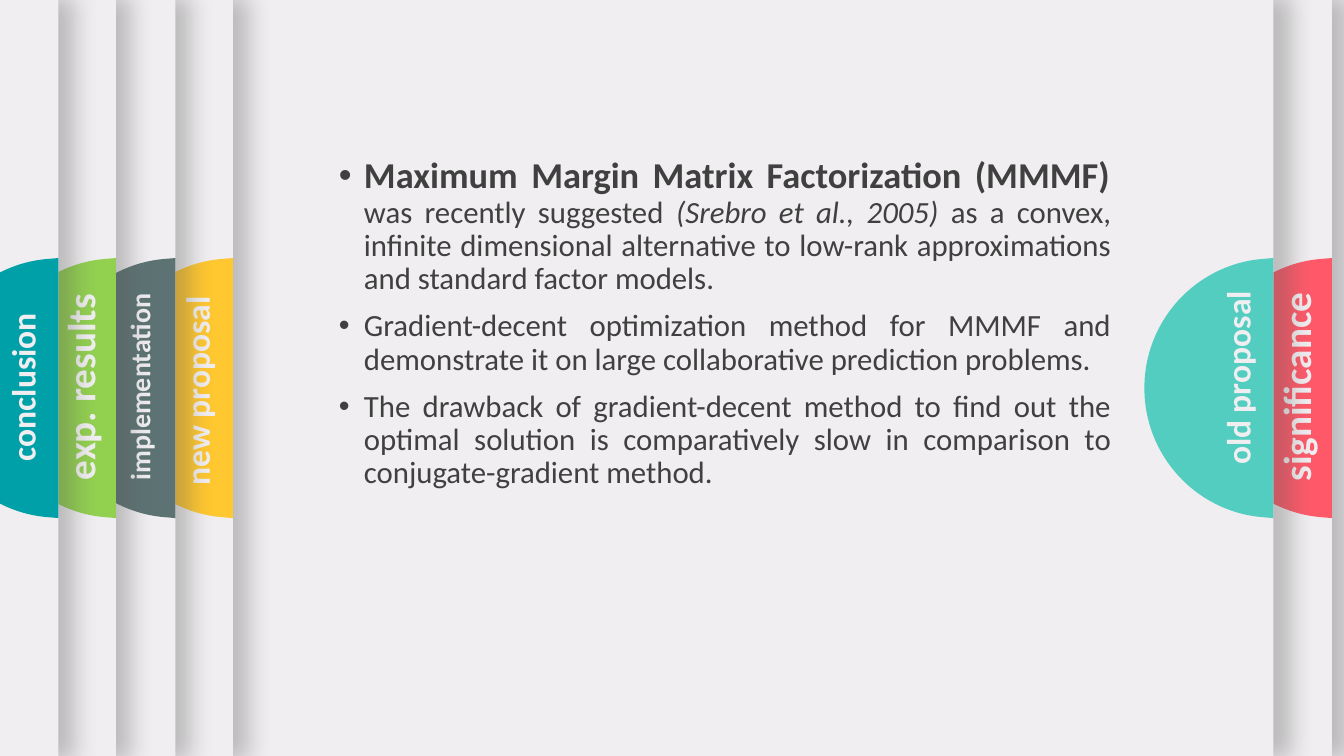
from lxml import etree
from pptx import Presentation
from pptx.dml.color import RGBColor
from pptx.enum.shapes import MSO_SHAPE as SHAPE
from pptx.enum.text import MSO_ANCHOR as ANCHOR, MSO_AUTO_SIZE as AUTO, PP_ALIGN as ALIGN
from pptx.oxml import parse_xml
from pptx.oxml.ns import nsdecls, qn
from pptx.util import Inches, Pt

PALE = "F0EEF0"
DARK = "404040"
DISC_TOP, DISC_WIDTH, DISC_HEIGHT = 2.56, 1.28, 2.58
LABEL_MIDDLE = 3.84

# label, colour, panel left, panel right, text size, label centre height
TABS = [
    ("significance", "FF5969", -0.44, 13.21, 28, LABEL_MIDDLE),
    ("old proposal", "52CDC0", 0.11, 12.63, 24, 3.75),
    ("new proposal ", "FFC730", -8.58, 2.31, 24, LABEL_MIDDLE),
    ("implementation", "5D7373", -8.73, 1.74, 20, LABEL_MIDDLE),
    ("exp. results", "92D050", -8.35, 1.15, 28, LABEL_MIDDLE),
    ("conclusion", "00A0A8", -10.27, 0.58, 24, LABEL_MIDDLE),
]

POINTS = [
    [
        ("Maximum Margin Matrix Factorization (MMMF) ", {"size": 26, "bold": True}),
        ("was recently suggested ", {}),
        ("(Srebro et al., 2005) ", {"italic": True}),
        ("as a convex, infinite dimensional alternative to low-rank "
         "approximations and standard factor models.", {}),
    ],
    [("Gradient-decent optimization method for MMMF and demonstrate it on "
      "large collaborative prediction problems.", {})],
    [("The drawback of gradient-decent method to find out the optimal solution "
      "is comparatively slow in comparison to conjugate-gradient method.", {})],
]


def rgb(value):
    return RGBColor.from_string(value)


def add_run(p, text, size=22, color=DARK, bold=False, italic=False):
    r = p.add_run()
    r.text = text
    font = r.font
    font.name = "Calibri"
    font.size = Pt(size)
    font.bold = bold
    font.italic = italic
    font.color.rgb = rgb(color)


def paint(sp, color):
    sp.shadow.inherit = False
    sp.fill.solid()
    sp.fill.fore_color.rgb = rgb(color)
    sp.line.fill.background()


def add_panel(group, left, right):
    """Full-height sheet that casts a soft shadow to its right."""
    sp = group.shapes.add_shape(SHAPE.RECTANGLE, Inches(left), 0,
                                Inches(right - left), Inches(7.5))
    paint(sp, PALE)
    effects = sp._element.spPr.find(qn("a:effectLst"))
    effects.append(parse_xml(
        f'<a:outerShdw {nsdecls("a")} blurRad="{Pt(17)}" dist="{Pt(3)}" dir="0" '
        'sx="101000" sy="101000" algn="l" rotWithShape="0"><a:srgbClr val="595959">'
        '<a:alpha val="35000"/></a:srgbClr></a:outerShdw>'))


def bend(segment, controls):
    """Turn a straight freeform segment into a cubic curve."""
    segment.tag = qn("a:cubicBezTo")
    for i, (x, y) in enumerate(controls):
        pt = etree.Element(qn("a:pt"), x=str(Inches(x)), y=str(Inches(y)))
        segment.insert(i, pt)


def add_half_disc(group, edge, color):
    w, h = DISC_WIDTH, DISC_HEIGHT
    corners = [(w, 0), (w, h), (w - 0.12, h - 0.01), (0, h / 2), (w - 0.12, 0.01)]
    outline = [(Inches(edge - w + x), Inches(DISC_TOP + y)) for x, y in corners]
    builder = group.shapes.build_freeform(*outline[0])
    builder.add_line_segments(outline[1:], close=True)
    sp = builder.convert_to_shape()
    lower, upper = list(sp._element.iter(qn("a:lnTo")))[2:4]
    bend(lower, [(0.51, h - 0.07), (0, h - 0.62)])
    bend(upper, [(0, 0.62), (0.51, 0.07)])
    paint(sp, color)


def add_label(group, text, edge, size, center):
    width, height = 2.18, size / 60 + 0.1
    sp = group.shapes.add_textbox(Inches(edge - 0.36 - width / 2),
                                  Inches(center - height / 2),
                                  Inches(width), Inches(height))
    sp.rotation = 270
    tf = sp.text_frame
    tf.word_wrap = True
    tf.auto_size = AUTO.SHAPE_TO_FIT_TEXT
    p = tf.paragraphs[0]
    p.alignment = ALIGN.CENTER
    add_run(p, text, size=size, color=PALE, bold=True)


def add_tab(s, text, color, left, edge, size, center):
    group = s.shapes.add_group_shape()
    add_panel(group, left, edge)
    add_half_disc(group, edge, color)
    add_label(group, text, edge, size, center)


def set_bullet(p):
    pPr = p._p.get_or_add_pPr()
    pPr.set("marL", str(Inches(0.25)))
    pPr.set("indent", str(-Inches(0.25)))
    etree.SubElement(pPr, qn("a:buFont"), typeface="Arial")
    etree.SubElement(pPr, qn("a:buChar"), char="•")


def fill_body(s, body):
    body.left, body.top = Inches(3.26), Inches(1.51)
    body.width, body.height = Inches(7.86), Inches(4.66)
    s.shapes._spTree.append(body._element)  # bring in front of the panels
    tf = body.text_frame
    tf.word_wrap = True
    tf.auto_size = AUTO.NONE
    tf.vertical_anchor = ANCHOR.TOP
    for i, runs in enumerate(POINTS):
        p = tf.add_paragraph() if i else tf.paragraphs[0]
        set_bullet(p)
        p.alignment = ALIGN.JUSTIFY
        p.line_spacing = 0.9
        p.space_before = Pt(10 if i else 0)
        for text, style in runs:
            add_run(p, text, **style)


def main():
    prs = Presentation()
    prs.slide_width, prs.slide_height = Inches(13.33), Inches(7.5)
    s = prs.slides.add_slide(prs.slide_layouts[1])
    s.background.fill.solid()
    s.background.fill.fore_color.rgb = rgb(PALE)
    title = s.shapes.title._element
    title.getparent().remove(title)
    for tab in TABS:
        add_tab(s, *tab)
    fill_body(s, s.placeholders[1])
    prs.save("out.pptx")


if __name__ == "__main__":
    main()
